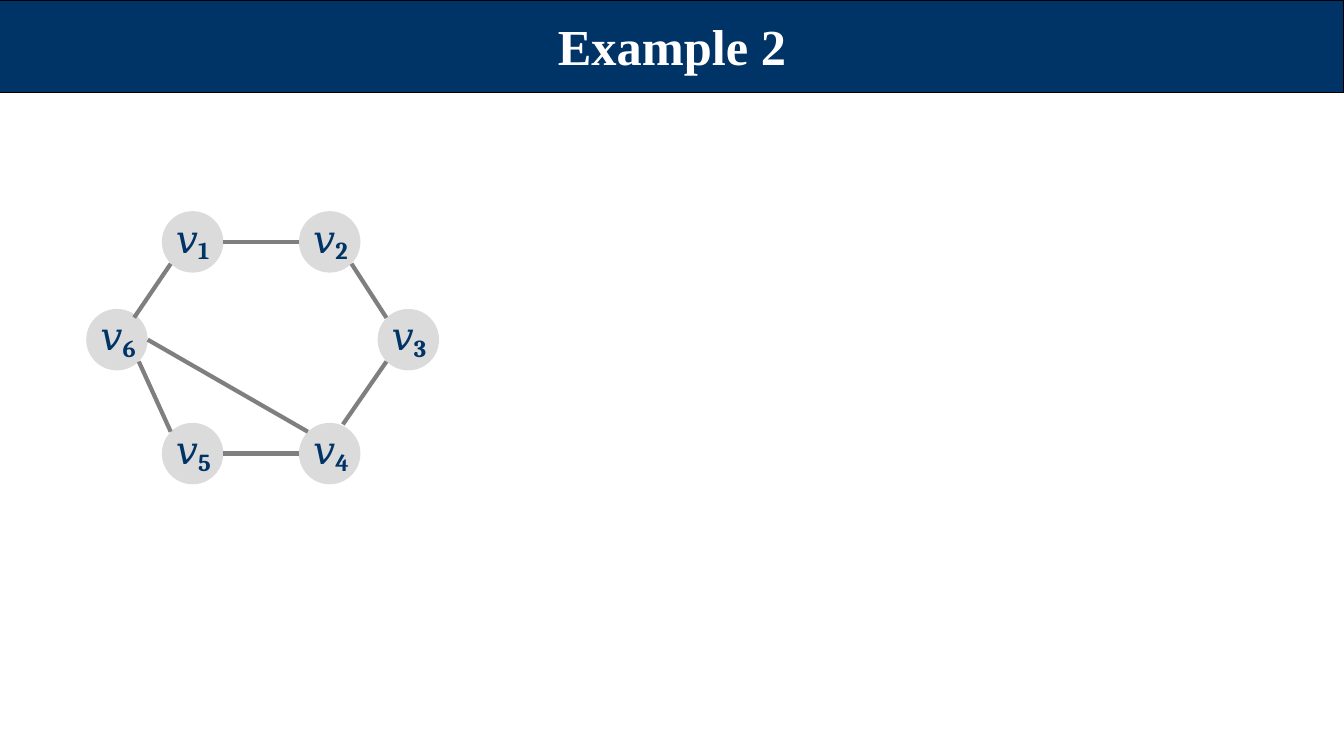
from typing import NamedTuple

from pptx import Presentation, util as u
from pptx.dml.color import RGBColor
from pptx.enum import shapes, text
from pptx.oxml.xmlchemy import OxmlElement

NAVY = RGBColor(0x00, 0x33, 0x66)
WHITE = RGBColor(0xFF, 0xFF, 0xFF)
BLACK = RGBColor(0x00, 0x00, 0x00)
NODE_GREY = RGBColor(0xDB, 0xDB, 0xDB)
EDGE_GREY = RGBColor(0x7F, 0x7F, 0x7F)

SLIDE_W, SLIDE_H = 13.33, 7.5
BAR_H = 0.92
COLUMNS = (1.16, 1.91, 3.27, 4.05)  # node centres, inches
ROWS = (2.4, 3.37, 4.5)
RADIUS = 0.305

# Where an edge meets a node, in radii from its centre
LEFT, RIGHT = (-1, 0), (1, 0)
TOP_LEFT, BOTTOM_LEFT = (-0.71, -0.71), (-0.71, 0.71)
BOTTOM_RIGHT = (0.71, 0.71)
V6_TOP, V4_TOP = (0.56, -0.72), (0.43, -0.95)


class Node(NamedTuple):
    col: int
    row: int

    def point(self, side: tuple[float, float]) -> tuple[u.Inches, u.Inches]:
        return (u.Inches(COLUMNS[self.col] + RADIUS * side[0]),
                u.Inches(ROWS[self.row] + RADIUS * side[1]))


class Edge(NamedTuple):
    start: int
    start_side: tuple[float, float]
    end: int
    end_side: tuple[float, float]


NODES = {1: Node(1, 0), 2: Node(2, 0), 3: Node(3, 1),
         4: Node(2, 2), 5: Node(1, 2), 6: Node(0, 1)}
EDGES = (
    Edge(6, V6_TOP, 1, BOTTOM_LEFT),
    Edge(3, TOP_LEFT, 2, BOTTOM_RIGHT),
    Edge(5, TOP_LEFT, 6, BOTTOM_RIGHT),
    Edge(4, V4_TOP, 3, BOTTOM_LEFT),
    Edge(2, LEFT, 1, RIGHT),
    Edge(4, LEFT, 5, RIGHT),
    Edge(4, TOP_LEFT, 6, RIGHT),
)


def set_frame(tf, left: float = 0) -> None:
    tf.margin_left, tf.margin_top = u.Inches(left), u.Inches(0.02)
    tf.margin_right = tf.margin_bottom = 0
    tf.word_wrap = True


def add_title(s, title: str) -> None:
    bar = s.shapes.add_shape(shapes.MSO_SHAPE.RECTANGLE, 0, 0,
                             u.Inches(SLIDE_W), u.Inches(BAR_H))
    bar.shadow.inherit = False
    bar.fill.solid()
    bar.fill.fore_color.rgb = NAVY
    bar.line.color.rgb = BLACK
    bar.line.width = u.Pt(0.75)

    sp = s.shapes.title
    bar._element.getparent().insert(2, bar._element)  # behind the title
    sp.left, sp.top = u.Inches(5.35), u.Inches(0.13)
    sp.width, sp.height = u.Inches(2.63), u.Inches(0.63)
    tf = sp.text_frame
    set_frame(tf)
    tf.auto_size = text.MSO_AUTO_SIZE.NONE
    tf.vertical_anchor = text.MSO_ANCHOR.MIDDLE
    p = tf.paragraphs[0]
    p.text = title
    p.alignment = text.PP_ALIGN.CENTER
    p.font.name, p.font.size, p.font.bold = "Times New Roman", u.Pt(36), True
    p.font.color.rgb = WHITE


def add_node(s, number: int, node: Node) -> None:
    left, top = node.point((-1, -1))
    sp = s.shapes.add_shape(shapes.MSO_SHAPE.OVAL, left, top,
                            u.Inches(2 * RADIUS), u.Inches(2 * RADIUS))
    sp.shadow.inherit = False
    sp.fill.solid()
    sp.fill.fore_color.rgb = NODE_GREY
    sp.line.fill.background()

    # Label with a subscript number
    label = s.shapes.add_textbox(left + u.Inches(0.1), top - u.Inches(0.02),
                                 u.Inches(0.45), u.Inches(0.49))
    set_frame(label.text_frame, 0.04)
    p = label.text_frame.paragraphs[0]
    p.font.name, p.font.bold = "Cambria", True
    p.font.color.rgb = NAVY
    for part, size, spacing, baseline in (("𝑣", 28, -20, 0),
                                          (str(number), 30, -40, -15000)):
        r = p.add_run()
        r.text = part
        r.font.size = u.Pt(size)
        r_pr = r._r.get_or_add_rPr()
        r_pr.set("spc", str(spacing))
        r_pr.set("baseline", str(baseline))


def add_edge(s, edge: Edge) -> None:
    line = s.shapes.add_connector(
        shapes.MSO_CONNECTOR.STRAIGHT,
        *NODES[edge.start].point(edge.start_side),
        *NODES[edge.end].point(edge.end_side))
    line.line.color.rgb = EDGE_GREY
    line.line.width = u.Pt(3)
    line._element.spPr.append(OxmlElement("a:effectLst"))


def main() -> None:
    prs = Presentation()
    prs.slide_width, prs.slide_height = u.Inches(SLIDE_W), u.Inches(SLIDE_H)
    s = prs.slides.add_slide(prs.slide_layouts[5])
    add_title(s, "Example 2")
    for number, node in NODES.items():
        add_node(s, number, node)
    for edge in EDGES:
        add_edge(s, edge)
    prs.save("out.pptx")


if __name__ == "__main__":
    main()
